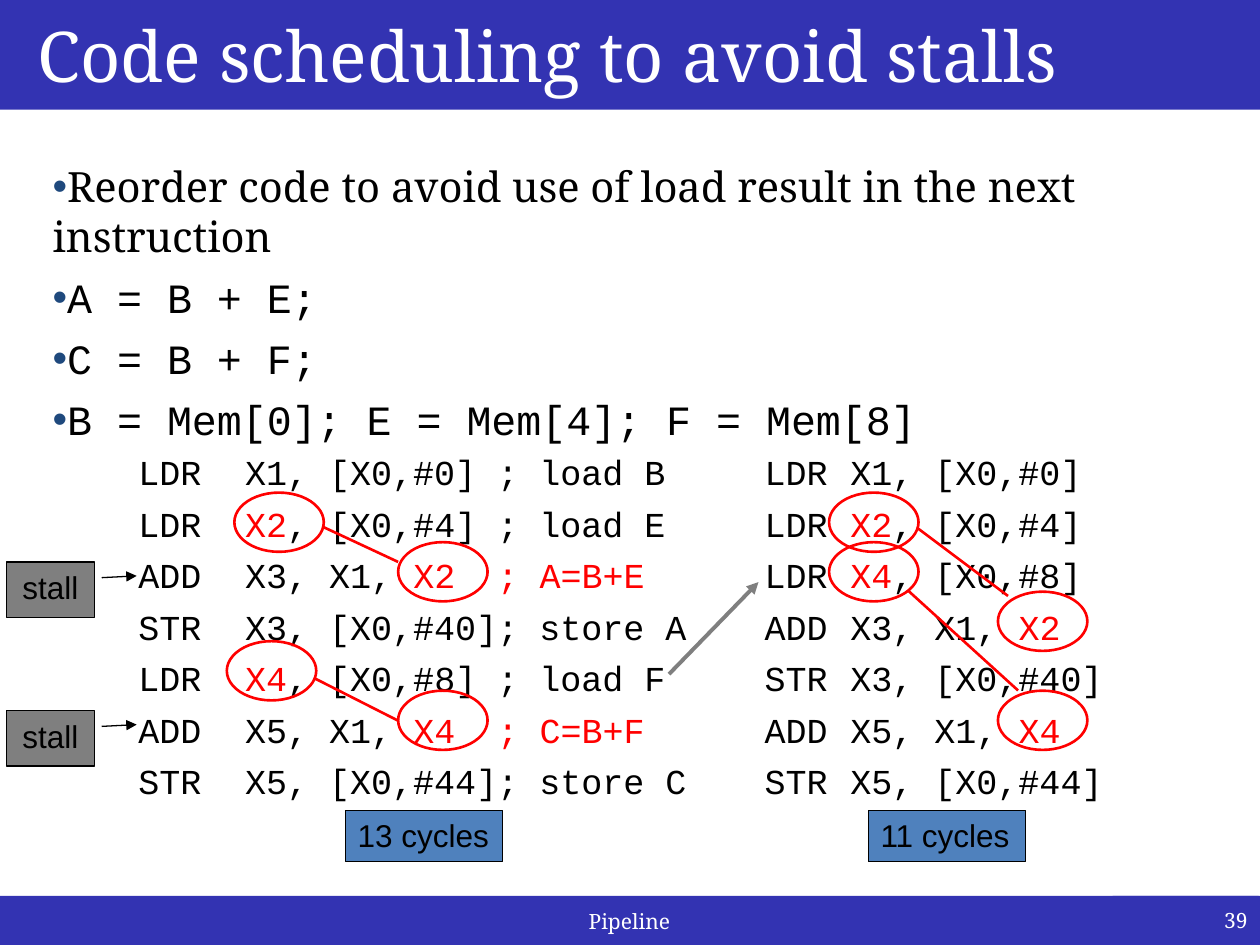
from dataclasses import dataclass

from lxml.etree import SubElement
from pptx import Presentation
from pptx.dml.color import RGBColor
from pptx.enum.shapes import MSO_CONNECTOR as Link, MSO_SHAPE as Shape
from pptx.enum.text import MSO_ANCHOR as Anchor, PP_ALIGN as Align
from pptx.oxml.ns import qn
from pptx.util import Inches, Pt


@dataclass(frozen=True)
class Theme:
    band: str = "3333B2"
    paper: str = "FFFFFF"
    ink: str = "000000"
    accent: str = "FF0000"
    bullet: str = "1F497D"
    grey: str = "7F7F7F"
    badge: str = "4F81BD"
    serif: str = "Noto Serif"
    mono: str = "Courier New"
    sans: str = "Arial"
    title: float = 40
    body: float = 23.8
    code: float = 20
    label: float = 18
    footer: float = 12


THEME = Theme()


def rgb(value):
    return RGBColor.from_string(value)


def write(frame, text, font=THEME.serif, size=THEME.footer, color=THEME.ink,
          align=Align.LEFT, anchor=Anchor.TOP, wrap=True, before=0,
          indent=0, tab=None, bullet=False):
    frame.word_wrap = wrap
    frame.vertical_anchor = anchor
    fresh = len(frame.paragraphs) == 1 and not frame.paragraphs[0].runs
    for line in text.split("\n"):
        paragraph = frame.paragraphs[0] if fresh else frame.add_paragraph()
        fresh = False
        paragraph.alignment = align
        paragraph.space_before = Pt(before)
        props = paragraph._p.get_or_add_pPr()
        props.set("marL", str(Inches(indent)))
        props.set("indent", "0")
        if tab:
            props.set("defTabSz", str(Inches(tab)))
        if bullet:
            tint = SubElement(props, qn("a:buClr"))
            SubElement(tint, qn("a:srgbClr"), val=THEME.bullet)
            SubElement(props, qn("a:buFont"), typeface=THEME.sans)
            SubElement(props, qn("a:buChar"), char="\u2022")
        for index, part in enumerate(line.split("|")):
            if part:
                run = paragraph.add_run()
                run.text = part
                run.font.name = font
                run.font.size = Pt(size)
                run.font.color.rgb = rgb(THEME.accent if index % 2 else color)


class Board:
    def __init__(self, slide, theme):
        self.slide = slide
        self.theme = theme

    def shape(self, box, kind=Shape.RECTANGLE, fill=None, line=None, weight=0.75):
        shape = self.slide.shapes.add_shape(kind, *map(Inches, box))
        shape.shadow.inherit = False
        if fill:
            shape.fill.solid()
            shape.fill.fore_color.rgb = rgb(fill)
        else:
            shape.fill.background()
        if line:
            shape.line.color.rgb = rgb(line)
            shape.line.width = Pt(weight)
        else:
            shape.line.fill.background()
        return shape

    def band(self, box, text, **style):
        shape = self.shape(box, fill=self.theme.band)
        write(shape.text_frame, text, color=self.theme.paper,
              anchor=Anchor.MIDDLE, **style)

    def code(self, box, text):
        shape = self.shape(box, fill=self.theme.paper)
        write(shape.text_frame, text, font=self.theme.mono,
              size=self.theme.code, before=5.4, tab=0.68, wrap=False)

    def stall(self, top):
        callout = self.shape((0.05, top, 0.7, 0.44), Shape.LINE_CALLOUT_1,
                             self.theme.grey, self.theme.ink)
        for index, value in enumerate((0.285, 1.083, 0.253, 1.479)):
            callout.adjustments[index] = value
        self.arrowhead(callout)
        write(callout.text_frame, "stall", font=self.theme.sans,
              size=self.theme.label, align=Align.CENTER)

    def badge(self, left, text):
        shape = self.shape((left, 6.43, 1.25, 0.41), fill=self.theme.badge,
                           line=self.theme.ink)
        write(shape.text_frame, text, font=self.theme.sans,
              size=self.theme.label, wrap=False)

    def ring(self, left, row):
        self.shape((left, 3.91 + 0.393 * row, 0.71, 0.47), Shape.OVAL,
                   line=self.theme.accent, weight=1.5)

    def link(self, ends, color, weight, arrow=False):
        line = self.slide.shapes.add_connector(Link.STRAIGHT, *map(Inches, ends))
        line.line.color.rgb = rgb(color)
        line.line.width = Pt(weight)
        if arrow:
            self.arrowhead(line)
        SubElement(line._element.spPr, qn("a:effectLst"))

    def arrowhead(self, target):
        SubElement(target.line._get_or_add_ln(), qn("a:tailEnd"), type="triangle")


deck = Presentation()
deck.slide_width, deck.slide_height = Inches(10), Inches(7.5)
board = Board(deck.slides.add_slide(deck.slide_layouts[6]), THEME)

board.band((0, 7.11, 9.99, 0.4), "Pipeline", align=Align.CENTER)
board.band((0, 0, 10, 0.87), "Code scheduling to avoid stalls",
           size=THEME.title, indent=0.2)

summary = board.slide.shapes.add_textbox(*map(Inches, (0.32, 1.23, 9.47, 2.02)))
points = {"size": THEME.body, "before": 6.2, "bullet": True}
write(summary.text_frame,
      "Reorder code to avoid use of load result in the next instruction", **points)
write(summary.text_frame,
      "A = B + E;\nC = B + F;\nB = Mem[0]; E = Mem[4]; F = Mem[8]",
      font=THEME.mono, **points)

board.code((1, 3.53, 4.6, 2.86), """LDR\t X1, [X0,#0] ; load B
LDR\t |X2|, [X0,#4] ; load E
ADD\t X3, X1, |X2  ; A=B+E|
STR\t X3, [X0,#40]; store A
LDR\t |X4|, [X0,#8] ; load F
ADD\t X5, X1, |X4  ; C=B+F|
STR\t X5, [X0,#44]; store C""")
for top in (4.46, 5.64):
    board.stall(top)
board.code((5.97, 3.53, 2.92, 2.86), """LDR\tX1, [X0,#0]
LDR\t|X2|, [X0,#4]
LDR\t|X4|, [X0,#8]
ADD\tX3, X1, |X2|
STR\tX3, [X0,#40]
ADD\tX5, X1, |X4|
STR\tX5, [X0,#44]""")

board.link((5.31, 5.35, 6.02, 4.62), THEME.grey, 2.25, arrow=True)
for left, row in ((1.86, 0), (3.16, 1), (1.8, 3), (3.16, 4),
                  (6.58, 0), (7.92, 2), (7.92, 4), (6.58, 1)):
    board.ring(left, row)
for ends in ((2.56, 4.18, 3.16, 4.46), (2.49, 5.38, 3.16, 5.72),
             (7.28, 4.19, 8, 4.73), (7.21, 4.69, 8.08, 5.48)):
    board.link(ends, THEME.accent, 1.5)

for left, cycles in ((6.89, 11), (2.74, 13)):
    board.badge(left, f"{cycles} cycles")
board.band((8.83, 7.11, 1.17, 0.39), "39", align=Align.RIGHT)

deck.save("out.pptx")
